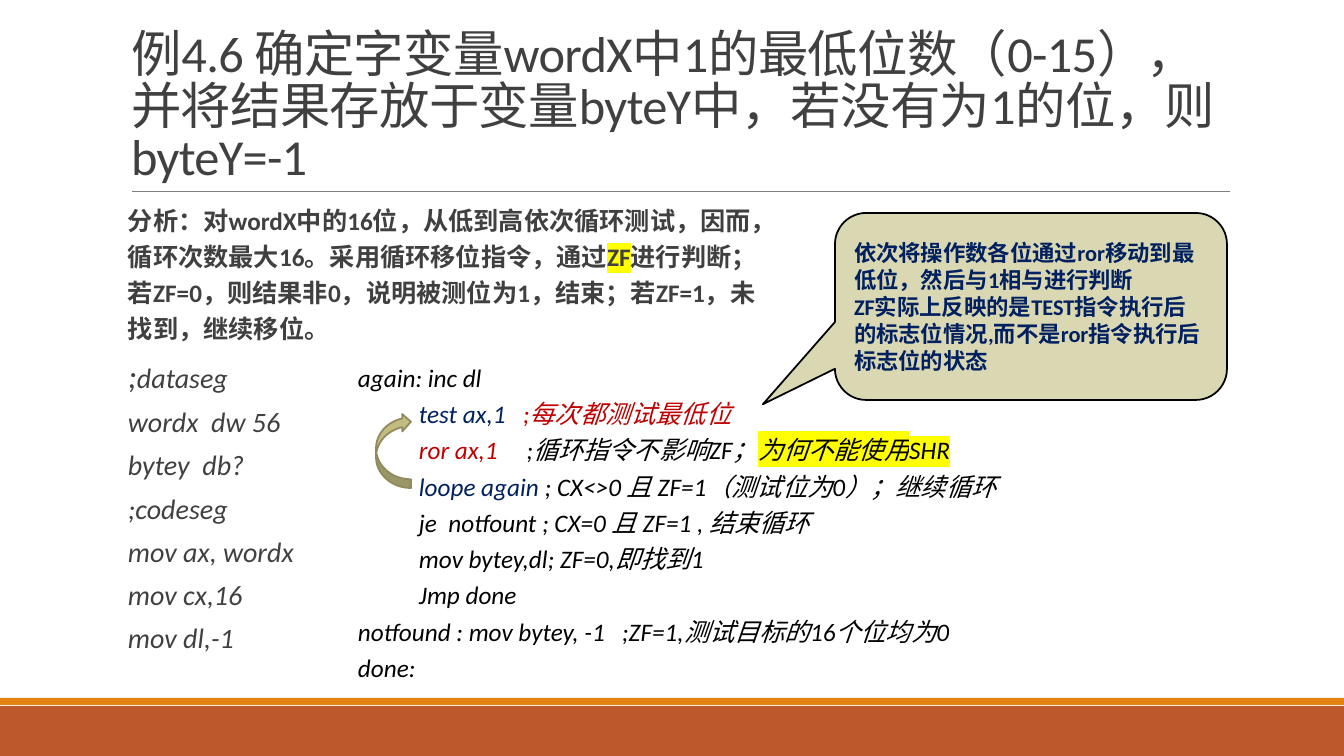
from lxml import etree
from pptx import Presentation
from pptx import util as u
from pptx.dml.color import RGBColor
from pptx.enum import shapes, text
from pptx.oxml.ns import qn

EMU_PER_PX = 914400 / 100.8
FONT = "Calibri"
BLACK, GREY, NAVY, RED, YELLOW = "000000", "404040", "002060", "C00000", "FFFF00"

# Content
TITLE = "例4.6 确定字变量wordX中1的最低位数（0-15），并将结果存放于变量byteY中，若没有为1的位，则byteY=-1"

# Runs are (text, overrides of the text style)
ANALYSIS = [
    ("分析：对wordX中的16位，从低到高依次循环测试，因而，循环次数最大16。采用循环移位指令，通过", {}),
    ("ZF", {"highlight": YELLOW}),
    ("进行判断；若ZF=0，则结果非0，说明被测位为1，结束；若ZF=1，未找到，继续移位。", {}),
]
SETUP_CODE = [
    [(";", {"size": 24}), ("dataseg", {})],
    [("wordx  dw 56", {})],
    [("bytey  db?", {})],
    [(";codeseg", {})],
    [("mov ax, wordx", {})],
    [("mov cx,16", {})],
    [("mov dl,-1", {})],
]
# Loop lines are (indented, runs)
LOOP_CODE = [
    (False, [("again: inc dl", {})]),
    (True, [("test ax,1   ", {"color": NAVY}), (";每次都测试最低位", {"color": RED})]),
    (True, [("ror ax,1     ", {"color": RED}), (";循环指令不影响ZF；", {}),
            ("为何不能使用SHR", {"highlight": YELLOW})]),
    (True, [("loope again ", {"color": NAVY}),
            ("; CX<>0 且 ZF=1（测试位为0）；继续循环", {})]),
    (True, [("je  notfount ; CX=0 且 ZF=1 , 结束循环", {})]),
    (True, [("mov bytey,dl; ZF=0,即找到1", {})]),
    (True, [("Jmp done", {})]),
    (False, [("notfound : mov bytey, -1   ;ZF=1,测试目标的16个位均为0", {})]),
    (False, [("done:", {})]),
]
CALLOUT = [
    "依次将操作数各位通过ror移动到最低位，然后与1相与进行判断",
    "ZF实际上反映的是TEST指令执行后的标志位情况,而不是ror指令执行后标志位的状态",
]


def px(length):
    return u.Emu(round(length * EMU_PER_PX))


def rgb(value):
    return RGBColor.from_string(value)


def add_run(paragraph, words, size, color, bold=False, italic=False, highlight=None):
    run = paragraph.add_run()
    run.text = words
    font = run.font
    font.name, font.size, font.bold, font.italic = FONT, u.Pt(size), bold, italic
    font.color.rgb = rgb(color)
    if highlight:
        mark = etree.Element(qn("a:highlight"))
        etree.SubElement(mark, qn("a:srgbClr")).set("val", highlight)
        run._r.get_or_add_rPr().find(qn("a:solidFill")).addnext(mark)
    return run


def add_line(frame, runs, style, spacing=1.0, after=0, margin=0, indent=0):
    first = frame.paragraphs[0]
    paragraph = frame.add_paragraph() if first.runs else first
    paragraph.alignment = text.PP_ALIGN.LEFT
    paragraph.line_spacing = spacing
    paragraph.space_before, paragraph.space_after = u.Pt(0), u.Pt(after)
    properties = paragraph._p.get_or_add_pPr()
    properties.set("marL", str(px(margin)))
    properties.set("indent", str(px(indent)))
    for words, overrides in runs:
        add_run(paragraph, words, **{**style, **overrides})


def add_shape(slide, kind, box, fill, line=None):
    shape = slide.shapes.add_shape(kind, *map(px, box))
    shape.shadow.inherit = False
    shape.fill.solid()
    shape.fill.fore_color.rgb = rgb(fill)
    if line:
        shape.line.color.rgb = rgb(line)
        shape.line.width = u.Pt(1.25)
    else:
        shape.line.fill.background()
    return shape


def add_text_box(slide, box, side_inset):
    frame = slide.shapes.add_textbox(*map(px, box)).text_frame
    frame.word_wrap = True
    frame.margin_left = frame.margin_right = px(side_inset)
    return frame


def main():
    presentation = Presentation()
    presentation.slide_width, presentation.slide_height = px(1344), px(756)
    slide = presentation.slides.add_slide(presentation.slide_layouts[5])
    kinds = shapes.MSO_SHAPE

    # Footer bars and title rule
    add_shape(slide, kinds.RECTANGLE, (0, 706, 1344, 50), "BD582C")
    add_shape(slide, kinds.RECTANGLE, (0, 698, 1344, 7), "E48312")
    rule = slide.shapes.add_connector(
        shapes.MSO_CONNECTOR.STRAIGHT, px(132), px(191), px(1230), px(191))
    rule.line.color.rgb = rgb("808080")
    rule.line.width = u.Pt(0.5)
    etree.SubElement(rule._element.spPr, qn("a:effectLst"))

    # Title
    title = slide.shapes.title
    title.left, title.top, title.width, title.height = map(px, (121, 31, 1109, 160))
    frame = title.text_frame
    frame.word_wrap = True
    frame.auto_size = text.MSO_AUTO_SIZE.NONE
    frame.vertical_anchor = text.MSO_ANCHOR.BOTTOM
    add_line(frame, [(TITLE, {})], {"size": 36, "color": GREY}, spacing=0.85)
    frame.paragraphs[0].runs[0].font._element.set("spc", "-50")

    # Analysis and setup code
    frame = add_text_box(slide, (118, 194, 649, 495), 0)
    body = {"spacing": 1.2, "after": 2, "margin": 10}
    add_line(frame, ANALYSIS, {"size": 18, "color": GREY, "bold": True}, **body)
    for runs in SETUP_CODE:
        add_line(frame, runs, {"size": 20, "color": GREY, "italic": True}, **body)

    # Callout
    callout = add_shape(slide, kinds.ROUNDED_RECTANGULAR_CALLOUT,
                        (835, 213, 392, 187), "DAD7B3", BLACK)
    for index, value in enumerate((-0.684, 0.523, 0.167)):
        callout.adjustments[index] = value
    frame = callout.text_frame
    frame.word_wrap = True
    frame.vertical_anchor = text.MSO_ANCHOR.MIDDLE
    for words in CALLOUT:
        add_line(frame, [(words, {})], {"size": 16, "color": NAVY, "bold": True})

    # Loop code
    frame = add_text_box(slide, (348, 351, 672, 338), 10)
    for indented, runs in LOOP_CODE:
        margin, indent = (50, 11) if indented else (0, 0)
        add_line(frame, runs, {"size": 18, "color": BLACK, "italic": True},
                 spacing=1.2, margin=margin, indent=indent)

    # Loop-back arrow
    arrow = add_shape(slide, kinds.CURVED_RIGHT_ARROW, (376, 413, 35, 75),
                      "C2BC80", "908B5F")
    arrow.rotation = 180
    arrow._element.spPr.find(qn("a:xfrm")).set("flipH", "1")

    presentation.save("out.pptx")


if __name__ == "__main__":
    main()
